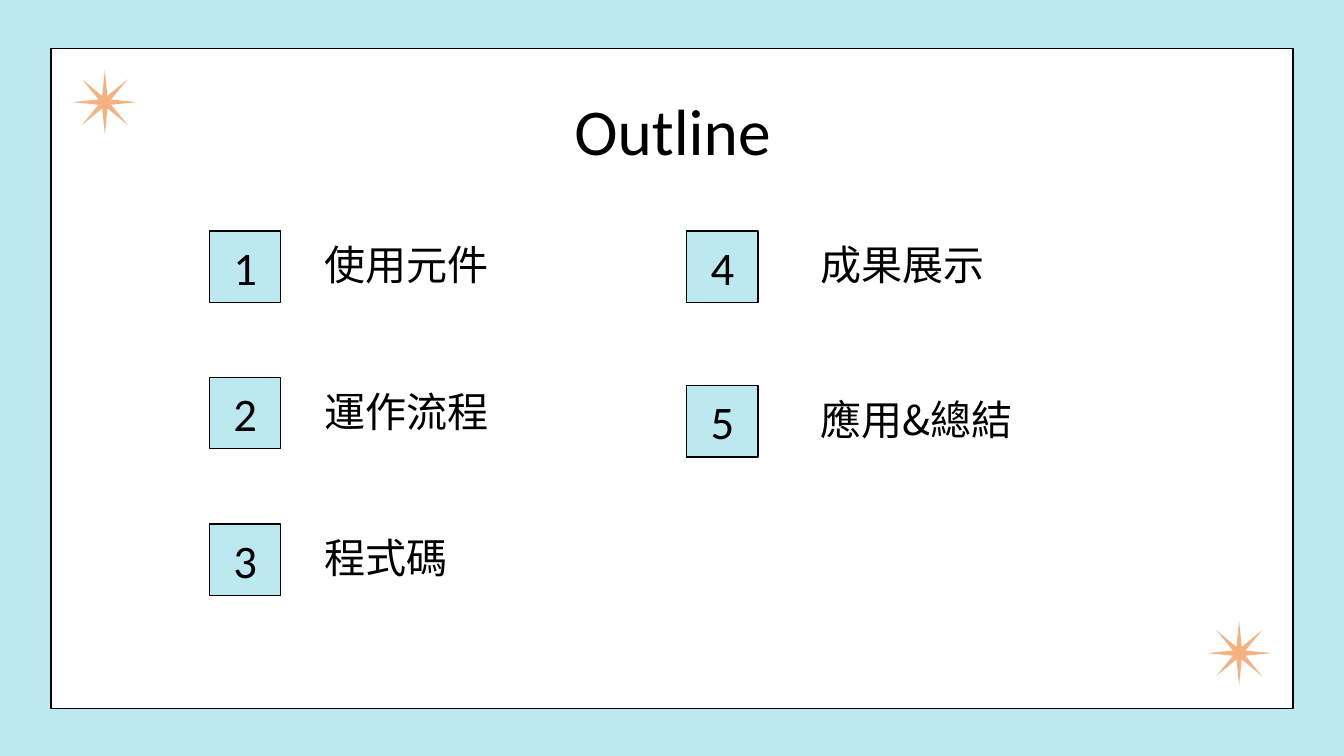
from math import cos, pi, sin

from lxml.etree import SubElement
from pptx import Presentation
from pptx.dml.color import RGBColor
from pptx.enum.shapes import MSO_SHAPE as Shape
from pptx.enum.text import MSO_ANCHOR as Anchor, PP_ALIGN as Align
from pptx.oxml.ns import qn
from pptx.util import Inches, Pt

TITLE = "Outline"
COLUMNS = [
    {"number_left": 1.56, "label_left": 2.32, "pitch": 1.09, "first": 1,
     "labels": ["使用元件", "運作流程", "程式碼"]},
    {"number_left": 5.11, "label_left": 6.01, "pitch": 1.15, "first": 4,
     "labels": ["成果展示", "應用&總結"]},
]
STAR_CENTRES = [(0.78, 0.76), (9.22, 4.86)]
WIDTH = 10
HEIGHT = WIDTH * 9 / 16
MARGIN = 0.38
FIRST_ROW, NUMBER_SIDE, LABEL_DROP = 1.72, 0.53, 0.13
LABEL_SIZE = (2.56, 0.4)
BLUE, WHITE, BLACK, ORANGE = "BCE9F0", "FFFFFF", "000000", "F5B280"
LATIN, CHINESE = "Calibri", "Noto Sans CJK SC"


def color(hex_text):
    return RGBColor.from_string(hex_text)


def paint(shape, fill, line=None):
    shape.shadow.inherit = False
    shape.fill.solid()
    shape.fill.fore_color.rgb = color(fill)
    if line:
        shape.line.color.rgb = color(line)
        shape.line.width = Pt(0.75)
    else:
        shape.line.fill.background()


def add_box(page, area, fill, kind=Shape.RECTANGLE):
    box = page.shapes.add_shape(kind, *map(Inches, area))
    paint(box, fill, BLACK)
    return box


def write(box, text, size, font=LATIN, align=Align.LEFT, anchor=Anchor.TOP):
    frame = box.text_frame
    frame.word_wrap = True
    frame.vertical_anchor = anchor
    frame.margin_left = frame.margin_right = Inches(0.1)
    frame.margin_top = frame.margin_bottom = Inches(0.1)
    para = frame.paragraphs[0]
    para.alignment = align
    span = para.add_run()
    span.text = text
    span.font.size = Pt(size)
    span.font.name = font
    span.font.color.rgb = color(BLACK)
    SubElement(span.font._element, qn("a:ea"), typeface=font)


def add_text(page, area, text, size, **style):
    write(page.shapes.add_textbox(*map(Inches, area)), text, size, **style)


def add_star(page, centre_x, centre_y, outer=0.24, inner=0.05):
    points = []
    for step in range(16):
        radius = inner if step % 2 else outer
        angle = step * pi / 8
        points.append((Inches(centre_x + radius * sin(angle)),
                       Inches(centre_y - radius * cos(angle))))
    outline = page.shapes.build_freeform(*points[0])
    outline.add_line_segments(points[1:], close=True)
    paint(outline.convert_to_shape(), ORANGE)


def add_column(page, column):
    for row, label in enumerate(column["labels"]):
        top = FIRST_ROW + row * column["pitch"]
        box = add_box(page, (column["number_left"], top, NUMBER_SIDE, NUMBER_SIDE), BLUE)
        write(box, str(column["first"] + row), 25, align=Align.CENTER, anchor=Anchor.MIDDLE)
        add_text(page, (column["label_left"], top + LABEL_DROP, *LABEL_SIZE), label, 22,
                 font=CHINESE, anchor=Anchor.BOTTOM)


def main():
    """Build the outline slide and save it."""
    deck = Presentation()
    deck.slide_width, deck.slide_height = Inches(WIDTH), Inches(HEIGHT)
    page = deck.slides.add_slide(deck.slide_layouts[6])
    page.background.fill.solid()
    page.background.fill.fore_color.rgb = color(BLUE)
    frame = add_box(page, (MARGIN, 0.36, WIDTH - 2 * MARGIN, 4.91), WHITE,
                    kind=Shape.ROUNDED_RECTANGLE)
    frame.adjustments[0] = 0
    add_text(page, (0.79, 0.57, 8.43, 0.6), TITLE, 35, align=Align.CENTER)
    for column in COLUMNS:
        add_column(page, column)
    for centre in STAR_CENTRES:
        add_star(page, *centre)
    deck.save("out.pptx")


if __name__ == "__main__":
    main()
